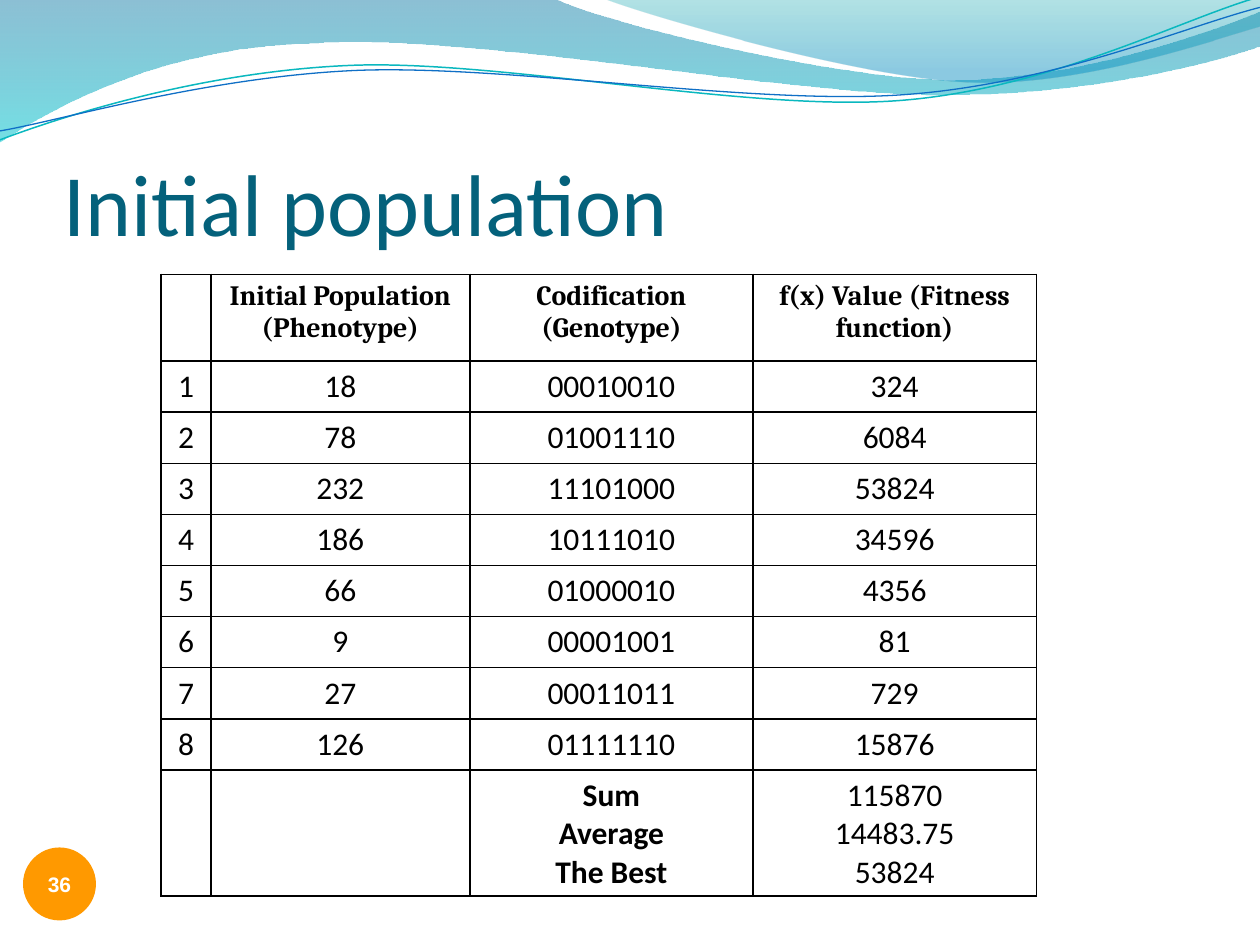
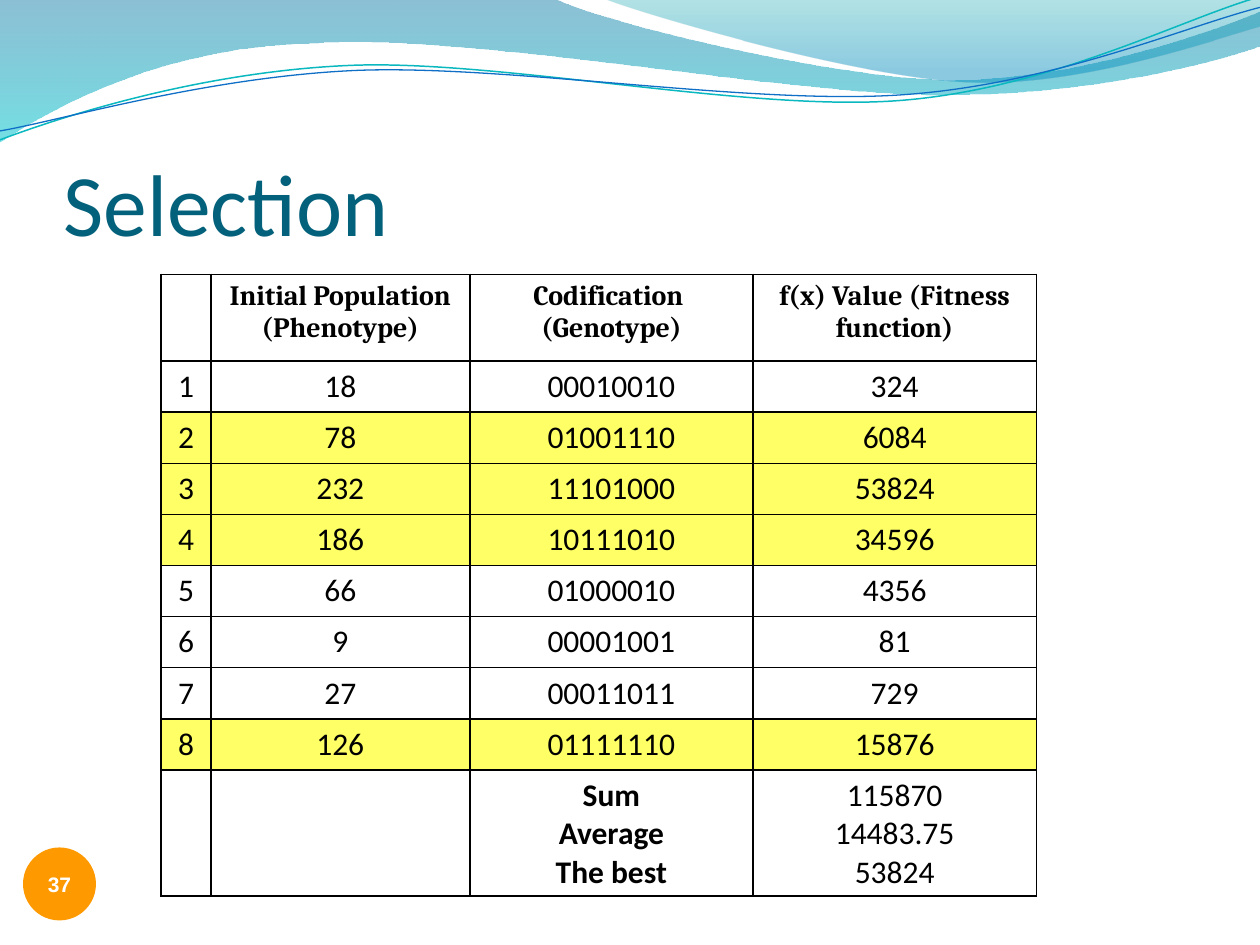
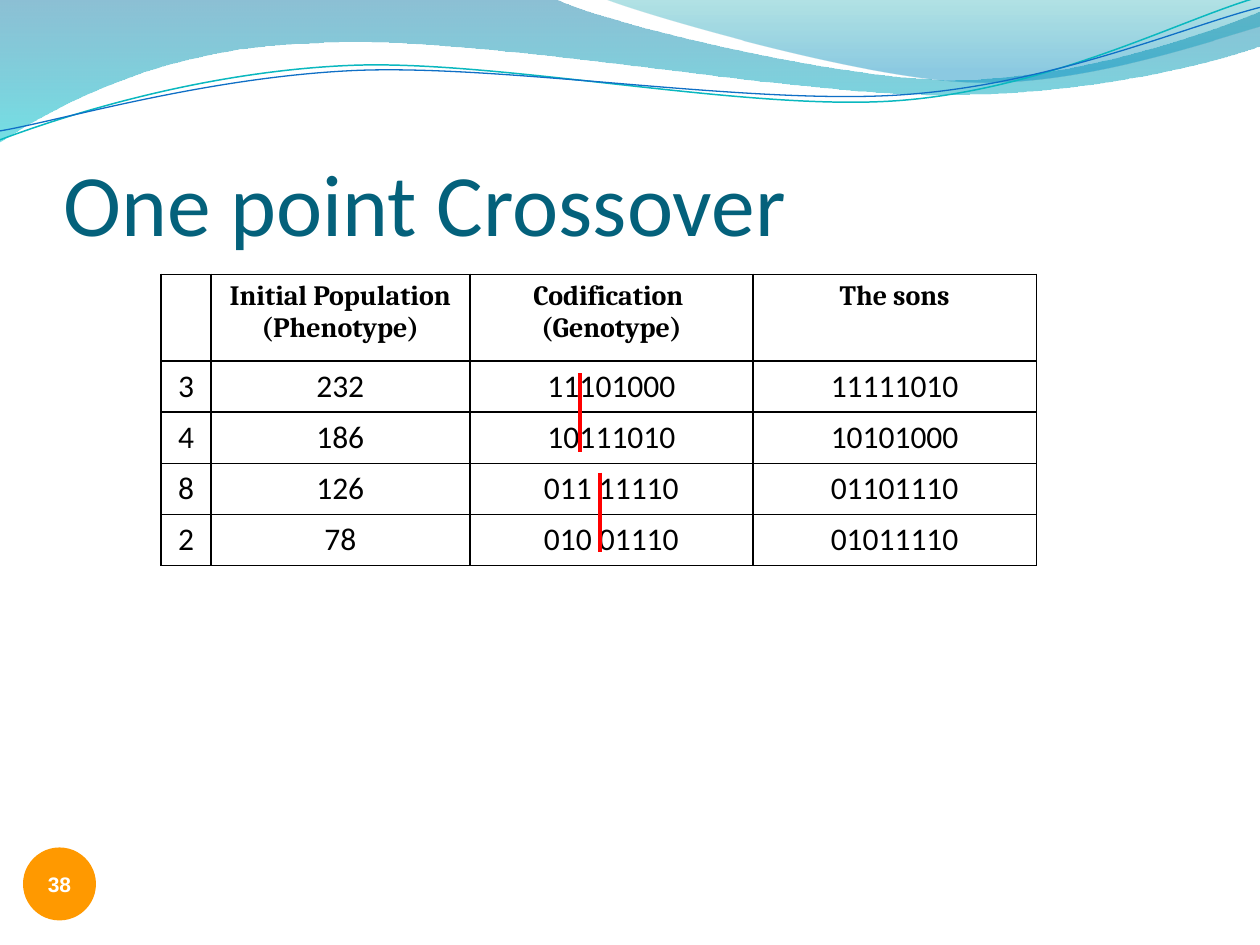
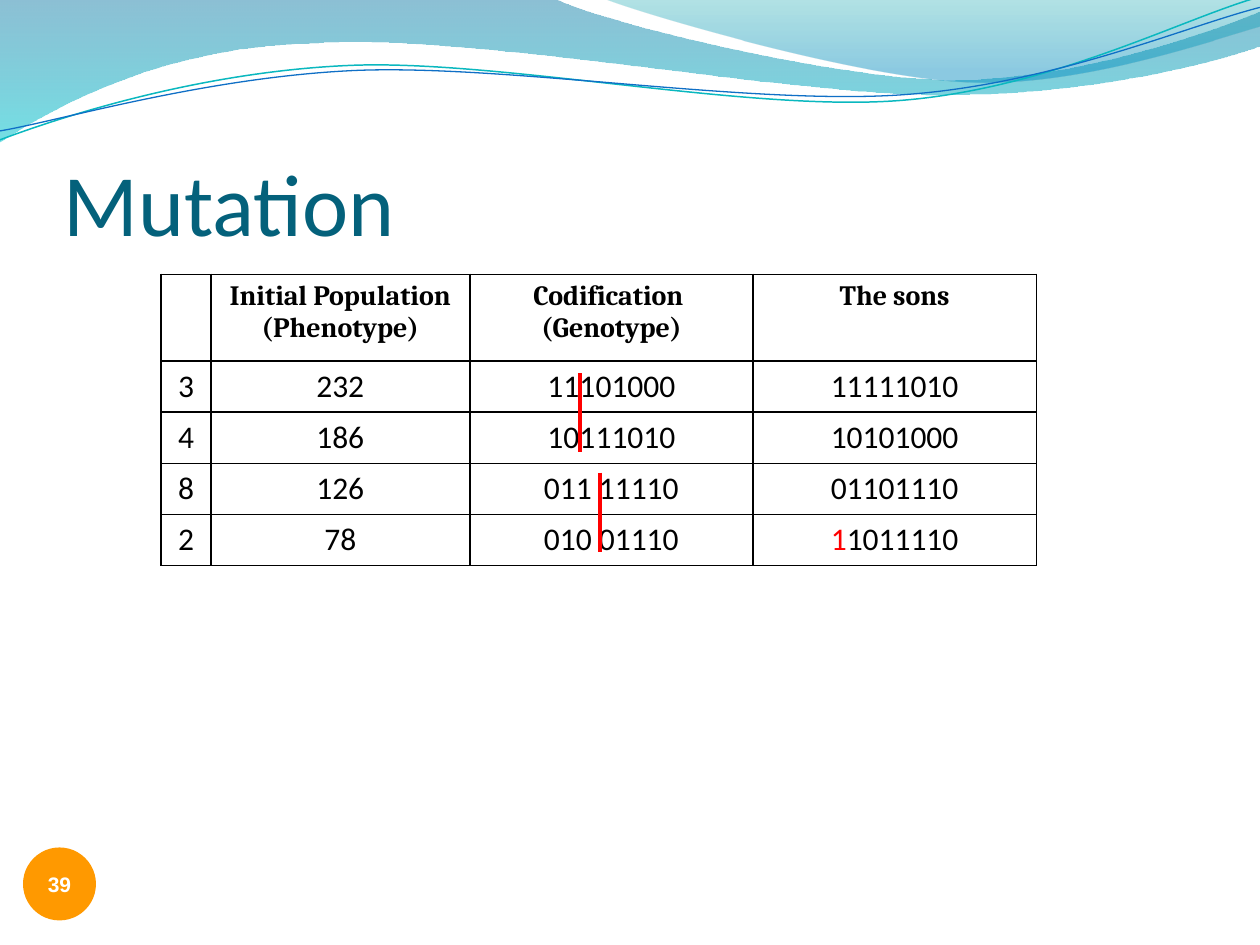
from collections import namedtuple

from lxml.etree import SubElement
from pptx import Presentation
from pptx.dml.color import RGBColor
from pptx.enum.shapes import MSO_CONNECTOR, MSO_SHAPE
from pptx.enum.text import MSO_ANCHOR, PP_ALIGN
from pptx.oxml.ns import qn
from pptx.util import Cm, Pt

# Colours and fonts
BLACK = RGBColor(0x00, 0x00, 0x00)
WHITE = RGBColor(0xFF, 0xFF, 0xFF)
RED = RGBColor(0xFF, 0x00, 0x00)
PALE_YELLOW = RGBColor(0xFF, 0xFF, 0x66)
YELLOW = RGBColor(0xFF, 0xFF, 0x00)
ORANGE = RGBColor(0xFF, 0x99, 0x00)
TITLE_BLUE = RGBColor(0x04, 0x61, 0x7B)
DEEP_BLUE = RGBColor(0x00, 0x74, 0xA1)
TURQUOISE = RGBColor(0x00, 0xC6, 0xCF)
TEAL = RGBColor(0x00, 0xA1, 0xA9)
SKY_BLUE = RGBColor(0x00, 0x8B, 0xBF)
LINE_TEAL = RGBColor(0x0A, 0xB8, 0xBF)
LINE_BLUE = RGBColor(0x0F, 0x6F, 0xC6)
BODY_FONT, HEADER_FONT, NUMBER_FONT = "Calibri", "Cambria", "Arial"

# Cells whose genes are auto-numbered, or have a changed first gene
Numbered = namedtuple("Numbered", "start text")
Mutated = namedtuple("Mutated", "gene rest")

# Content
PHENOTYPE = "Initial Population\n(Phenotype)"
FITNESS = "f(x) Value (Fitness function)"
POPULATION = [
    ("1", "18", "00010010", "324"),
    ("2", "78", "01001110", "6084"),
    ("3", "232", "11101000", "53824"),
    ("4", "186", "10111010", "34596"),
    ("5", "66", "01000010", "4356"),
    ("6", "9", "00001001", "81"),
    ("7", "27", "00011011", "729"),
    ("8", "126", "01111110", "15876"),
]
TOTALS = "115870\n14483.75\n53824"
SONS_HEADER = ("", PHENOTYPE, "Codification \n(Genotype)", "The sons")
COUPLES = [
    ("3", "232", Numbered(111, "01000"), "11111010"),
    ("4", "186", Numbered(101, "11010"), "10101000"),
    ("8", "126", "011 11110", "01101110"),
]
LAST_PARENT = ("2", "78", "010 01110")
# Row label: colour and opacity in percent
SELECTED = {"2": (PALE_YELLOW, 100), "3": (YELLOW, 60), "4": (PALE_YELLOW, 100), "8": (PALE_YELLOW, 100)}

SLIDES = [
    {"title": "Initial population", "table_height": 13.06,
     "rows": [("", PHENOTYPE, "Codification\n(Genotype)", FITNESS), *POPULATION,
              ("", "", "Sum\nAverage\nThe Best", TOTALS)]},
    {"title": "Selection", "table_height": 13.06, "selected": SELECTED,
     "rows": [("", PHENOTYPE, "Codification \n(Genotype)", FITNESS), *POPULATION,
              ("", "", "Sum\nAverage\nThe best", TOTALS)]},
    {"title": "One point Crossover", "table_height": 6.4, "cuts": True,
     "rows": [SONS_HEADER, *COUPLES, (*LAST_PARENT, "01011110")]},
    {"title": "Mutation", "table_height": 6.4, "cuts": True,
     "rows": [SONS_HEADER, *COUPLES, (*LAST_PARENT, Mutated("1", "1011110"))]},
]
FIRST_NUMBER = 36

# Layout in centimetres
COLUMN_WIDTHS = (1.0, 5.22, 5.71, 5.71)
HEADER_HEIGHT, ROW_HEIGHT = 1.75, 1.03
CUTS = [(11.7, 7.52), (12.1, 9.53)]
CUT_LENGTH = 1.6

# Waves: a start point, then steps of one point (line) or three (curve)
BANDS = [
    {"start": (0, 0),
     "steps": [[(11.18, -0.03)],
               [(12.09, 0.43), (16.87, 1.6), (19.25, 1.6)],
               [(21.67, 1.6), (24.33, 0.66), (25.4, 0.23)],
               [(25.43, 0.91)],
               [(24.97, 1.12), (22.1, 1.93), (18.95, 1.91)],
               [(15.8, 1.91), (9.7, 0.71), (6.53, 0.86)],
               [(3.28, 0.91), (1.17, 2.11), (-0.03, 2.87)],
               [(0, 0)]],
     "stops": [(0, DEEP_BLUE, 45), (1, TURQUOISE, 55)]},
    {"start": (12.17, -0.03),
     "steps": [[(12.93, 0.28), (17.32, 1.57), (19.53, 1.65)],
               [(21.74, 1.75), (24.41, 0.81), (25.4, 0.53)],
               [(25.4, 0)],
               [(12.17, -0.03)]],
     "stops": [(0, TEAL, 30), (0.8, SKY_BLUE, 45)]},
]
STRANDS = [
    {"start": (0, 2.82), "color": LINE_TEAL, "width": 0.85,
     "steps": [[(1.22, 2.36), (4.01, 1.45), (7.04, 1.32)],
               [(10.03, 1.19), (15.06, 2.26), (18.11, 2.03)],
               [(21.16, 1.8), (23.83, 0.38), (25.35, -0.05)]]},
    {"start": (0, 2.64), "color": LINE_BLUE, "width": 0.75,
     "steps": [[(1.19, 2.44), (4.17, 1.55), (7.19, 1.42)],
               [(10.24, 1.3), (15.16, 2.13), (18.21, 1.91)],
               [(21.23, 1.7), (23.9, 0.53), (25.4, 0.15)]]},
]
FIRST_WAVE_ID = 101


def add_run(paragraph, text, font, size, color, bold=False):
    run = paragraph.add_run()
    run.text = text
    run.font.name, run.font.size, run.font.bold = font, Pt(size), bold
    run.font.color.rgb = color


def set_opacity(color_element, percent):
    SubElement(color_element, qn("a:alpha")).set("val", str(percent * 1000))


# Waves
def add_wave(slide, wave, close):
    """Build the outline, then join each three-point step into one cubic curve."""
    x, y = wave["start"]
    builder = slide.shapes.build_freeform(Cm(x), Cm(y))
    points = [(Cm(x), Cm(y)) for step in wave["steps"] for x, y in step]
    builder.add_line_segments(points, close=close)
    shape = builder.convert_to_shape()
    shape.shadow.inherit = False
    outline = next(shape.element.iter(qn("a:path")))
    lines = iter(outline.findall(qn("a:lnTo")))
    for step in wave["steps"]:
        first, *others = [next(lines) for _ in step]
        if others:
            first.tag = qn("a:cubicBezTo")
        for other in others:
            first.append(other[0])
            outline.remove(other)
    return shape


def add_waves(slide):
    """Draw the waves and return their shapes, from back to front."""
    waves = []
    for band in BANDS:
        shape = add_wave(slide, band, close=True)
        shape.line.fill.background()
        shape.fill.gradient()
        shape.fill.gradient_angle = 270
        for stop, (position, color, _) in zip(shape.fill.gradient_stops, band["stops"]):
            stop.position = position
            stop.color.rgb = color
        for color_element, (_, _, opacity) in zip(shape.element.iter(qn("a:srgbClr")), band["stops"]):
            set_opacity(color_element, opacity)
        waves.append(shape)
    for strand in STRANDS:
        shape = add_wave(slide, strand, close=False)
        shape.fill.background()
        shape.line.color.rgb = strand["color"]
        shape.line.width = Pt(strand["width"])
        waves.append(shape)
    return waves


def move_to_master(presentation, shapes):
    """Let every slide inherit the shapes."""
    tree = presentation.slide_master.element.cSld.spTree
    for shape_id, shape in enumerate(shapes, FIRST_WAVE_ID):
        next(shape.element.iter(qn("p:cNvPr"))).set("id", str(shape_id))
        tree.append(shape.element)


# Title and slide number
def add_title(slide, title):
    box = slide.shapes.add_textbox(Cm(1.28), Cm(1.95), Cm(22.86), Cm(3.17))
    frame = box.text_frame
    frame.word_wrap = True
    frame.vertical_anchor = MSO_ANCHOR.BOTTOM
    frame.margin_left = frame.margin_right = frame.margin_bottom = 0
    add_run(frame.paragraphs[0], title, BODY_FONT, 50, TITLE_BLUE)


def add_number(slide, number):
    badge = slide.shapes.add_shape(MSO_SHAPE.OVAL, Cm(0.5), Cm(17.12), Cm(1.4), Cm(1.4))
    badge.shadow.inherit = False
    badge.fill.solid()
    badge.fill.fore_color.rgb = ORANGE
    badge.line.color.rgb = ORANGE
    badge.line.width = Pt(2)
    frame = badge.text_frame
    frame.word_wrap = False
    frame.vertical_anchor = MSO_ANCHOR.MIDDLE
    frame.paragraphs[0].alignment = PP_ALIGN.CENTER
    add_run(frame.paragraphs[0], str(number), NUMBER_FONT, 12, WHITE, bold=True)


# Table
def set_borders(cell):
    properties = cell._tc.get_or_add_tcPr()
    for side in ("a:lnL", "a:lnR", "a:lnT", "a:lnB"):
        line = SubElement(properties, qn(side), w=str(Pt(1)))
        SubElement(SubElement(line, qn("a:solidFill")), qn("a:srgbClr"), val=str(BLACK))


def set_background(cell, highlight):
    if highlight is None:
        cell.fill.background()
        return
    color, opacity = highlight
    cell.fill.solid()
    cell.fill.fore_color.rgb = color
    if opacity < 100:
        fill = cell._tc.tcPr.find(qn("a:solidFill"))
        set_opacity(fill[0], opacity)


def number_paragraph(paragraph, start):
    properties = paragraph._p.get_or_add_pPr()
    properties.set("marL", str(Cm(0.97)))
    properties.set("indent", str(-Cm(0.97)))
    SubElement(properties, qn("a:buAutoNum"), type="arabicPlain", startAt=str(start))


def fill_cell(cell, content, font, size, bold):
    frame = cell.text_frame
    if isinstance(content, Mutated):
        runs_by_line = [[(content.gene, RED), (content.rest, BLACK)]]
    else:
        text = content.text if isinstance(content, Numbered) else content
        runs_by_line = [[(line, BLACK)] for line in text.split("\n") if line]
    for index, runs in enumerate(runs_by_line):
        paragraph = frame.add_paragraph() if index else frame.paragraphs[0]
        paragraph.alignment = PP_ALIGN.CENTER
        if isinstance(content, Numbered):
            number_paragraph(paragraph, content.start)
        for text, color in runs:
            add_run(paragraph, text, font, size, color, bold)


def add_population_table(slide, rows, table_height, selected):
    table_frame = slide.shapes.add_table(len(rows), len(COLUMN_WIDTHS), Cm(3.25), Cm(5.53),
                                         Cm(sum(COLUMN_WIDTHS)), Cm(table_height))
    table = table_frame.table
    table.first_row = table.horz_banding = False
    for column, width in zip(table.columns, COLUMN_WIDTHS):
        column.width = Cm(width)
    for row_index, row in enumerate(rows):
        is_header = row_index == 0
        is_summary = not is_header and not row[0]
        table.rows[row_index].height = Cm(HEADER_HEIGHT if is_header else ROW_HEIGHT)
        font, size = (HEADER_FONT, 16) if is_header else (BODY_FONT, 18)
        for column_index, content in enumerate(row):
            cell = table.cell(row_index, column_index)
            set_borders(cell)
            set_background(cell, selected.get(row[0]))
            fill_cell(cell, content, font, size, is_header or (is_summary and column_index == 2))
    table_frame.height = Cm(table_height)


# Crossover cuts
def add_cuts(slide):
    for x, top in CUTS:
        cut = slide.shapes.add_connector(MSO_CONNECTOR.STRAIGHT, Cm(x), Cm(top), Cm(x), Cm(top + CUT_LENGTH))
        cut.line.color.rgb = RED
        cut.line.width = Pt(2.25)
        SubElement(cut.element.spPr, qn("a:effectLst"))


def main():
    presentation = Presentation()
    presentation.slide_width, presentation.slide_height = Cm(25.4), Cm(19.05)
    blank_layout = presentation.slide_layouts[6]
    for number, content in enumerate(SLIDES, FIRST_NUMBER):
        slide = presentation.slides.add_slide(blank_layout)
        if number == FIRST_NUMBER:
            move_to_master(presentation, add_waves(slide))
        add_title(slide, content["title"])
        add_population_table(slide, content["rows"], content["table_height"], content.get("selected", {}))
        add_number(slide, number)
        if content.get("cuts"):
            add_cuts(slide)
    presentation.save("out.pptx")


if __name__ == "__main__":
    main()
